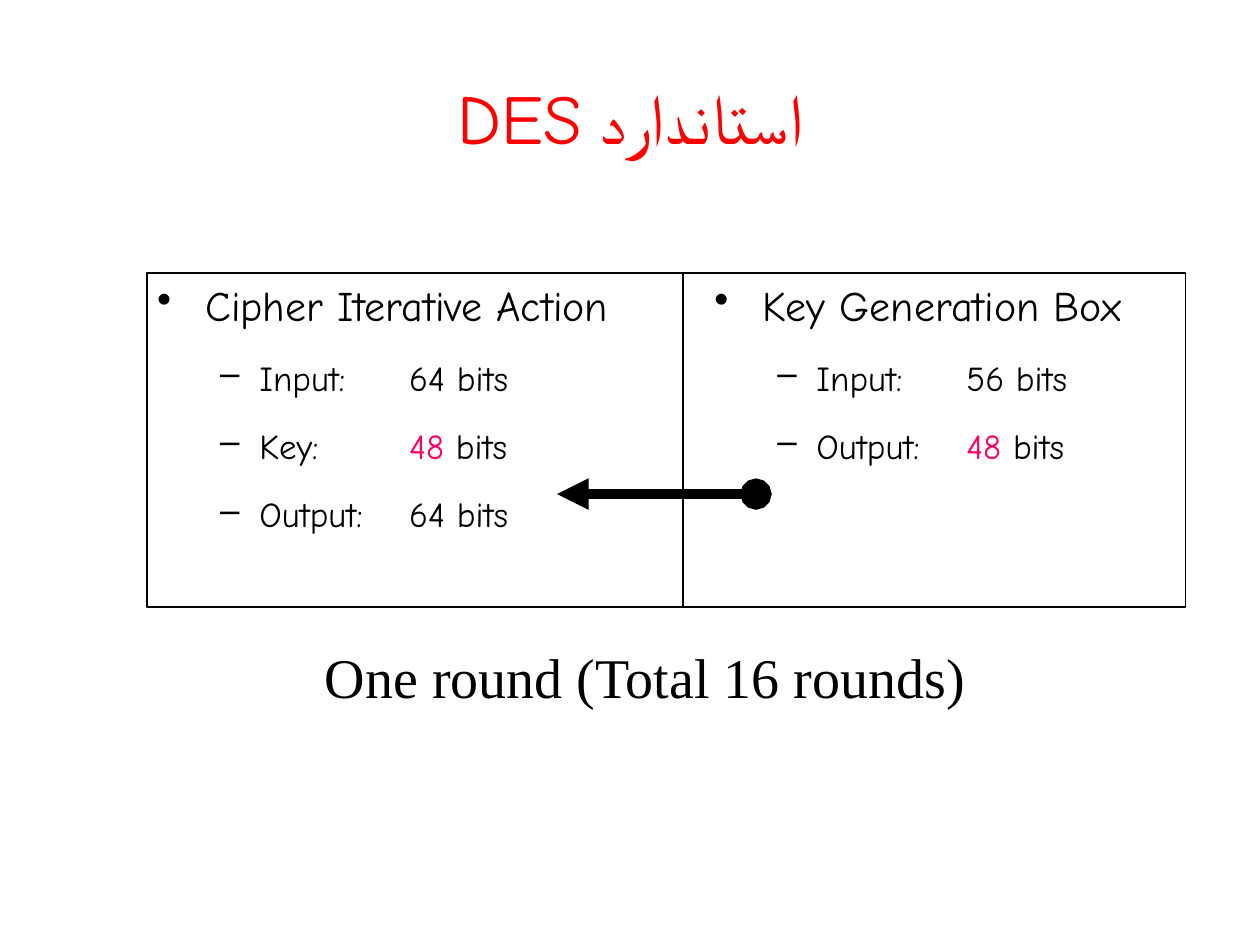
from lxml.etree import SubElement
from pptx import Presentation
from pptx.dml.color import RGBColor
from pptx.enum.shapes import MSO_CONNECTOR, MSO_SHAPE
from pptx.enum.text import MSO_ANCHOR, PP_ALIGN
from pptx.oxml.ns import qn
from pptx.util import Cm, Pt

BLACK = RGBColor(0x00, 0x00, 0x00)
RED = RGBColor(0xFF, 0x00, 0x00)
PINK = RGBColor(0xFF, 0x00, 0x66)
HEADING_FONT = "Comic Neue"
CAPTION_FONT = "Times New Roman"

FRAME_LEFT, FRAME_TOP = Cm(2.97), Cm(5.51)
FRAME_WIDTH, FRAME_HEIGHT = Cm(20.93), Cm(6.73)
DIVIDER_X = Cm(13.77)
ARROW_Y = Cm(9.96)
VALUE_TAB = Cm(5.08)

# Bullet, left margin, hanging indent and text size of each outline level
LEVELS = [
    {"bullet": "•", "margin": Cm(0.97), "hanging": Cm(0.97), "size": 24},
    {"bullet": "–", "margin": Cm(2.06), "hanging": Cm(0.79), "size": 20},
]

# Left, width and paragraphs (level, runs) of each column
COLUMNS = [
    (Cm(2.92), Cm(11.63), [
        (0, [("Cipher Iterative Action", BLACK)]),
        (1, [("Input:\t64 bits", BLACK)]),
        (1, [("Key:\t", BLACK), ("48", PINK), (" bits", BLACK)]),
        (1, [("Output:\t64 bits", BLACK)]),
    ]),
    (Cm(14.15), Cm(11.2), [
        (0, [("Key Generation Box", BLACK)]),
        (1, [("Input:\t56 bits", BLACK)]),
        (1, [("Output:\t", BLACK), ("48", PINK), (" bits", BLACK)]),
    ]),
]


def add_run(paragraph, text, size, font_name, color):
    run = paragraph.add_run()
    run.text = text
    formats = {"size": Pt(size), "name": font_name}
    for name, value in formats.items():
        setattr(run.font, name, value)
    run.font.color.rgb = color


def add_line(x1, y1, x2, y2, width):
    connector = slide.shapes.add_connector(MSO_CONNECTOR.STRAIGHT, x1, y1, x2, y2)
    connector.line.color.rgb = BLACK
    connector.line.width = Pt(width)
    SubElement(connector._element.spPr, qn("a:effectLst"))
    return connector


presentation = Presentation()
presentation.slide_width = Cm(25.4)
presentation.slide_height = Cm(19.05)
slide = presentation.slides.add_slide(presentation.slide_layouts[6])

# Title, written right to left
title = slide.shapes.add_textbox(Cm(1.27), Cm(0.76), Cm(22.86), Cm(3.18))
title.text_frame.word_wrap = True
title.text_frame.vertical_anchor = MSO_ANCHOR.MIDDLE
paragraph = title.text_frame.paragraphs[0]
paragraph.alignment = PP_ALIGN.CENTER
paragraph._p.get_or_add_pPr().set("rtl", "1")
add_run(paragraph, "استاندارد DES", 40, HEADING_FONT, RED)

# Two bulleted columns
for left, width, items in COLUMNS:
    column = slide.shapes.add_textbox(left, FRAME_TOP, width, Cm(12.57))
    text_frame = column.text_frame
    text_frame.word_wrap = True
    for index, (level, runs) in enumerate(items):
        paragraph = text_frame.add_paragraph() if index else text_frame.paragraphs[0]
        style = LEVELS[level]
        properties = paragraph._p.get_or_add_pPr()
        properties.set("marL", str(style["margin"]))
        properties.set("indent", str(-style["hanging"]))
        bullet_color = SubElement(properties, qn("a:buClr"))
        SubElement(bullet_color, qn("a:srgbClr"), val=str(BLACK))
        SubElement(properties, qn("a:buChar"), char=style["bullet"])
        tabs = SubElement(properties, qn("a:tabLst"))
        SubElement(tabs, qn("a:tab"), pos=str(VALUE_TAB), algn="l")
        paragraph.level = level
        paragraph.space_before = Pt(12 if index else 0)
        paragraph.space_after = Pt(3)
        for text, color in runs:
            add_run(paragraph, text, style["size"], HEADING_FONT, color)

# Frame around both columns
frame = slide.shapes.add_shape(
    MSO_SHAPE.RECTANGLE, FRAME_LEFT, FRAME_TOP, FRAME_WIDTH, FRAME_HEIGHT)
frame.shadow.inherit = False
frame.fill.background()
frame.line.color.rgb = BLACK
frame.line.width = Pt(1)

# Caption
caption = slide.shapes.add_textbox(Cm(6.3), Cm(12.83), Cm(13.51), Cm(1.6))
caption.text_frame.word_wrap = False
add_run(caption.text_frame.paragraphs[0], "One round (Total 16 rounds)",
        32, CAPTION_FONT, BLACK)

# Divider, and the arrow carrying the key from the right column to the left
add_line(DIVIDER_X, FRAME_TOP, DIVIDER_X, FRAME_TOP + FRAME_HEIGHT, 1)
key_arrow = add_line(Cm(15.24), ARROW_Y, Cm(11.23), ARROW_Y, 6)
line_properties = key_arrow.line._get_or_add_ln()
SubElement(line_properties, qn("a:headEnd"), type="oval")
SubElement(line_properties, qn("a:tailEnd"), type="triangle")

presentation.save("out.pptx")
